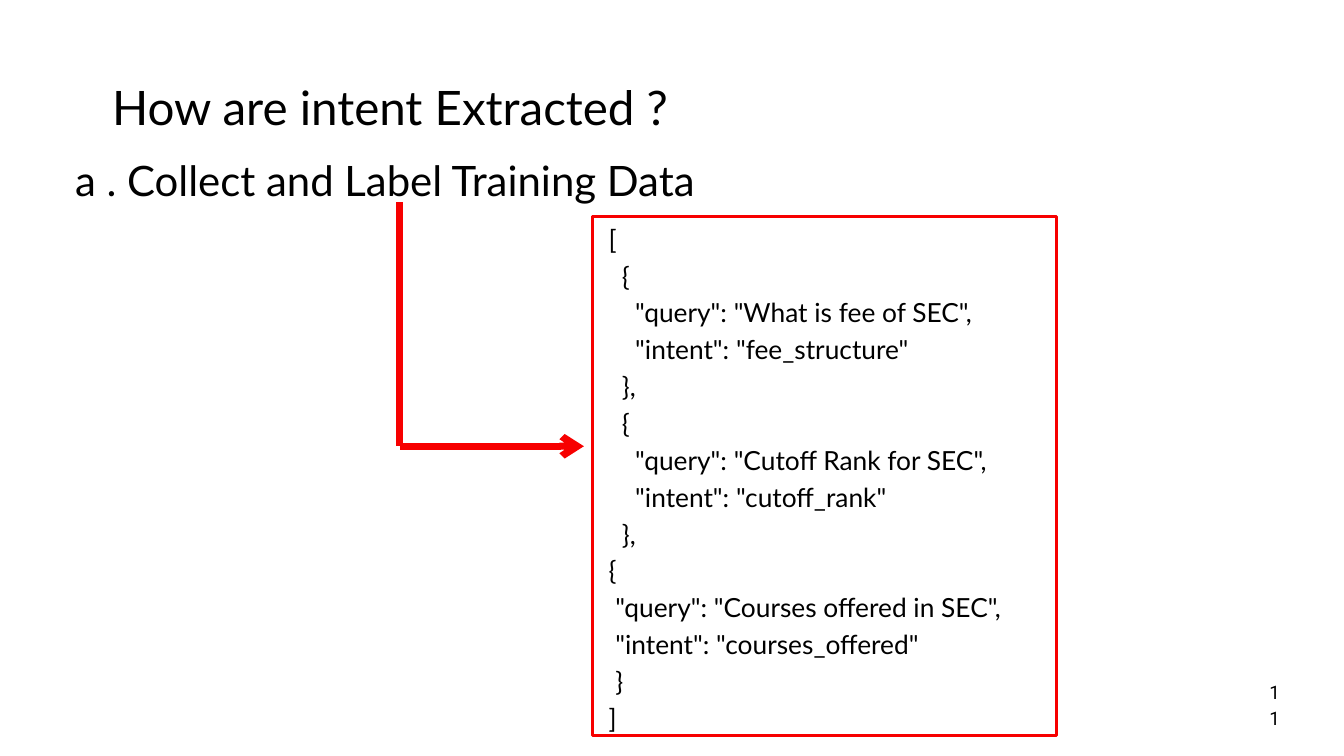
from dataclasses import dataclass

from lxml import etree
from pptx import Presentation
from pptx.dml.color import RGBColor
from pptx.enum.shapes import MSO_CONNECTOR, MSO_SHAPE
from pptx.enum.text import MSO_AUTO_SIZE, PP_ALIGN
from pptx.oxml.ns import qn
from pptx.util import Cm, Pt

LEFT, CENTER, JUSTIFY = PP_ALIGN.LEFT, PP_ALIGN.CENTER, PP_ALIGN.JUSTIFY
RECTANGLE, STRAIGHT = MSO_SHAPE.RECTANGLE, MSO_CONNECTOR.STRAIGHT
GROW = MSO_AUTO_SIZE.SHAPE_TO_FIT_TEXT


@dataclass(frozen=True)
class Theme:
    text: RGBColor = RGBColor(0, 0, 0)
    paper: RGBColor = RGBColor(255, 255, 255)
    accent: RGBColor = RGBColor(0xF7, 0, 0)
    font: str = "Lato"
    number_font: str = "Roboto"
    title: float = 50.9
    subtitle: float = 44.9
    code: float = 28.2
    number: float = 20
    leading: float = 1.4
    border: float = 3
    arrow: float = 7.5
    indent: float = 0.25


THEME = Theme()

SAMPLES = [
    (0, "["),
    (2, "{"),
    (4, '"query": "What is fee of SEC",'),
    (4, '"intent": "fee_structure"'),
    (2, "},"),
    (2, "{"),
    (4, '"query": "Cutoff Rank for SEC",'),
    (4, '"intent": "cutoff_rank"'),
    (2, "},"),
    (0, "{"),
    (1, '"query": "Courses offered in SEC",'),
    (1, '"intent": "courses_offered"'),
    (1, "}"),
    (0, "]"),
]


def set_all(obj, values):
    for name, value in values.items():
        setattr(obj, name, value)


def add_text(s, box, lines, size, font=THEME.font, align=LEFT):
    tf = s.shapes.add_textbox(*map(Cm, box)).text_frame
    set_all(tf, {"word_wrap": True, "auto_size": GROW, "margin_left": 0,
                 "margin_right": 0, "margin_top": 0, "margin_bottom": 0})
    for i, (level, text) in enumerate(lines):
        p = tf.paragraphs[0] if i == 0 else tf.add_paragraph()
        set_all(p, {"alignment": align,
                    "line_spacing": Pt(round(size * THEME.leading, 1))})
        if level:
            p._p.get_or_add_pPr().set("marL", str(Cm(level * THEME.indent)))
        r = p.add_run()
        r.text = text
        set_all(r.font, {"name": font, "size": Pt(size)})
        r.font.color.rgb = THEME.text


def add_line(s, x1, y1, x2, y2, arrow=False):
    c = s.shapes.add_connector(STRAIGHT, Cm(x1), Cm(y1), Cm(x2), Cm(y2))
    c.line.color.rgb = THEME.accent
    c.line.width = Pt(THEME.arrow)
    if arrow:
        etree.SubElement(c.line._get_or_add_ln(), qn("a:tailEnd"), type="arrow")
    etree.SubElement(c._element.spPr, qn("a:effectLst"))


def add_heading(s, x, y, w):
    add_text(s, (x, y + 2.92, w, 2.11),
             [(0, "a . Collect and Label Training Data")],
             THEME.subtitle, align=JUSTIFY)
    add_text(s, (x, y, 24.26, 2.41), [(0, "How are intent Extracted ? ")],
             THEME.title, align=CENTER)


def add_samples(s, x, y, w, h):
    sp = s.shapes.add_shape(RECTANGLE, Cm(x), Cm(y), Cm(w), Cm(h))
    sp.shadow.inherit = False
    sp.fill.solid()
    sp.fill.fore_color.rgb = THEME.paper
    sp.line.color.rgb = THEME.accent
    sp.line.width = Pt(THEME.border)
    add_text(s, (x + 0.61, y + 0.03, w - 1.1, h - 0.13), SAMPLES, THEME.code)


def add_elbow(s, x, y, w, h):
    add_line(s, x, y + h, x + w, y + h, arrow=True)
    add_line(s, x, y, x, y + h)


def add_page_number(s, x, y, w, h):
    add_text(s, (x, y, w, h), [(0, "11")], THEME.number,
             THEME.number_font, CENTER)


def main():
    prs = Presentation()
    set_all(prs, {"slide_width": Cm(50.8), "slide_height": Cm(28.58)})
    s = prs.slides.add_slide(prs.slide_layouts[6])
    add_heading(s, 2.84, 2.59, 30.4)
    add_samples(s, 22.4, 8.2, 17.53, 19.61)
    add_elbow(s, 15.11, 7.65, 6.96, 9.22)
    add_page_number(s, 47.96, 25.58, 0.43, 0.56)
    prs.save("out.pptx")


if __name__ == "__main__":
    main()
